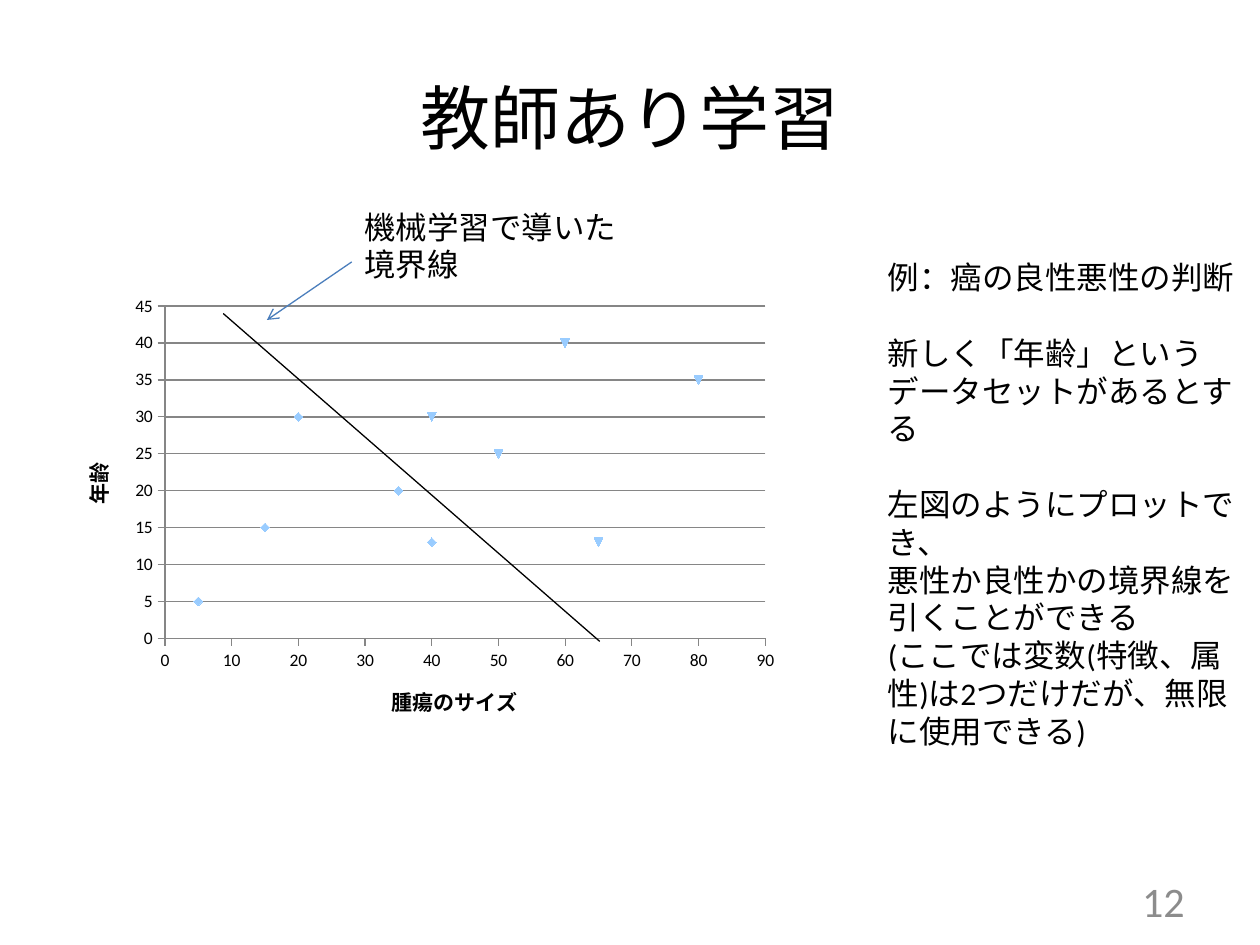
import pptx
import pptx.chart.data
import pptx.dml.color
import pptx.enum.chart
import pptx.enum.shapes
import pptx.enum.text
import pptx.oxml
import pptx.oxml.ns
import pptx.util
from dataclasses import dataclass

Cm = pptx.util.Cm
Pt = pptx.util.Pt
ALIGN = pptx.enum.text.PP_ALIGN
ANCHOR = pptx.enum.text.MSO_ANCHOR


@dataclass
class Theme:
    face: str = "Calibri"
    ink: str = "000000"
    gray: str = "8C8C8C"
    grid: str = "868686"
    blue: str = "4B7EBC"
    head: int = 40
    page: int = 24
    body: int = 18
    label: int = 12
    tick: int = 10
    thin: float = 0.75


def color(code):
    return pptx.dml.color.RGBColor.from_string(code)


def style(font, theme, size, ink=None, bold=False):
    font.name = theme.face
    font.size = Pt(size)
    font.bold = bold
    font.color.rgb = color(ink or theme.ink)


def write(frame, theme, text, size, ink=None, align=ALIGN.LEFT, gaps=()):
    """Fill a frame line by line; gaps lists the lines with a space above."""
    for i, line in enumerate(text.split("\n")):
        para = frame.paragraphs[0] if i == 0 else frame.add_paragraph()
        para.alignment = align
        if i in gaps:
            para.space_before = Pt(size * 1.2)
        run = para.add_run()
        run.text = line
        style(run.font, theme, size, ink)


class Deck:
    def __init__(self, theme):
        self.theme = theme
        self.file = pptx.Presentation()
        self.file.slide_width, self.file.slide_height = Cm(25.4), Cm(19.05)
        self.slide = self.file.slides.add_slide(self.file.slide_layouts[6])

    def text(self, text, box, size, anchor=ANCHOR.TOP, **form):
        frame = self.slide.shapes.add_textbox(*map(Cm, box)).text_frame
        frame.word_wrap = True
        frame.vertical_anchor = anchor
        write(frame, self.theme, text, size, **form)

    def line(self, start, end, ink, arrow=False):
        kind = pptx.enum.shapes.MSO_CONNECTOR.STRAIGHT
        link = self.slide.shapes.add_connector(kind, *map(Cm, start + end))
        link.line.color.rgb = color(ink)
        link.line.width = Pt(self.theme.thin)
        if arrow:
            tail = pptx.oxml.parse_xml(
                f'<a:tailEnd {pptx.oxml.ns.nsdecls("a")} type="arrow"/>')
            link.line._get_or_add_ln().append(tail)
        link._element.spPr.append(pptx.oxml.parse_xml(
            f'<a:effectLst {pptx.oxml.ns.nsdecls("a")}/>'))

    def axis(self, axis, title, top, step, grid):
        theme = self.theme
        axis.minimum_scale, axis.maximum_scale = 0, top
        axis.major_unit = step
        axis.major_tick_mark = pptx.enum.chart.XL_TICK_MARK.OUTSIDE
        axis.has_major_gridlines = grid
        lines = [axis.format.line]
        if grid:
            lines.append(axis.major_gridlines.format.line)
        for line in lines:
            line.color.rgb = color(theme.grid)
            line.width = Pt(theme.thin)
        frame = axis.axis_title.text_frame
        frame.text = title
        style(frame.paragraphs[0].runs[0].font, theme, theme.label, bold=True)

    def scatter(self, box, groups, across, up):
        data = pptx.chart.data.XyChartData()
        for name, points in groups.items():
            group = data.add_series(name)
            for x, y in points:
                group.add_data_point(x, y)
        kind = pptx.enum.chart.XL_CHART_TYPE.XY_SCATTER
        chart = self.slide.shapes.add_chart(kind, *map(Cm, box), data).chart
        style(chart.font, self.theme, self.theme.tick)
        chart.has_title = chart.has_legend = False
        chart.plots[0].vary_by_categories = False
        for group in chart.plots[0].series:
            group.smooth = False
            group.format.line.fill.background()
        self.axis(chart.category_axis, *across, grid=False)
        self.axis(chart.value_axis, *up, grid=True)


def main():
    theme = Theme()
    deck = Deck(theme)

    # Title
    deck.text("教師あり学習", (1.27, 0.76, 22.86, 3.18), theme.head,
              anchor=ANCHOR.MIDDLE, align=ALIGN.CENTER)

    # Explanation
    deck.text("例：癌の良性悪性の判断\n"
              "新しく「年齢」というデータセットがあるとする\n"
              "左図のようにプロットでき、\n"
              "悪性か良性かの境界線を引くことができる\n"
              "(ここでは変数(特徴、属性)は2つだけだが、無限に使用できる)",
              (17.65, 5.08, 7.75, 9.5), theme.body, gaps=(1, 2))

    # Page number
    deck.text("12", (18.2, 17.65, 5.93, 1.02), theme.page,
              anchor=ANCHOR.MIDDLE, ink=theme.gray, align=ALIGN.RIGHT)

    # Tumour size against age
    groups = {
        "Series 1": [(5, 5), (40, 13), (15, 15), (35, 20), (20, 30)],
        "Series 2": [(65, 13), (50, 25), (80, 35), (60, 40), (40, 30)],
    }
    deck.scatter((1.09, 5.79, 14.81, 9.22), groups,
                 across=("腫瘍のサイズ", 90, 10), up=("年齢", 45, 5))

    # Boundary and its label
    deck.text("機械学習で導いた\n境界線", (7.09, 4.06, 6, 1.8), theme.body)
    deck.line((7.09, 5.28), (5.38, 6.45), theme.blue, arrow=True)
    deck.line((4.5, 6.32), (12.09, 12.93), theme.ink)

    deck.file.save("out.pptx")


if __name__ == "__main__":
    main()
